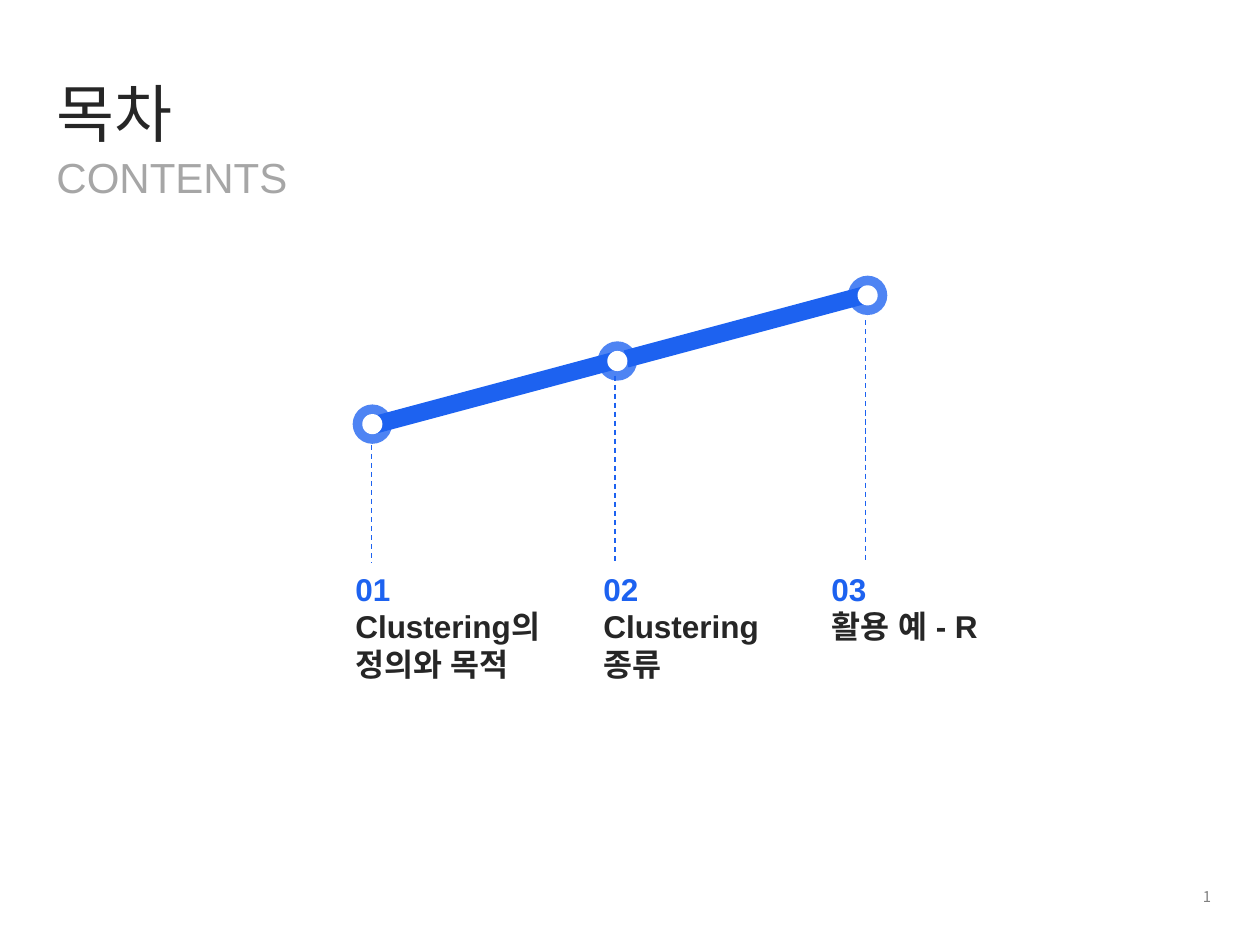
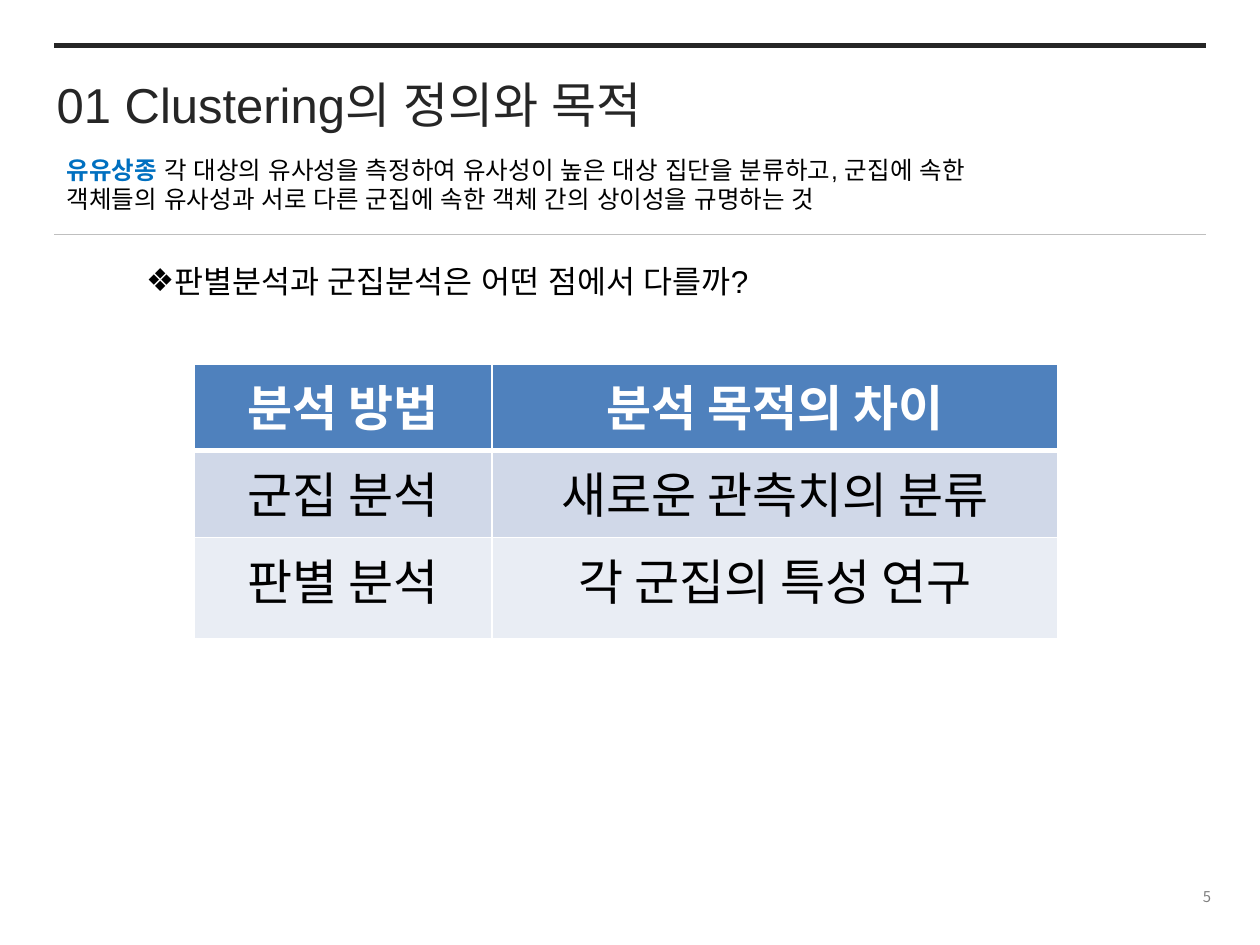
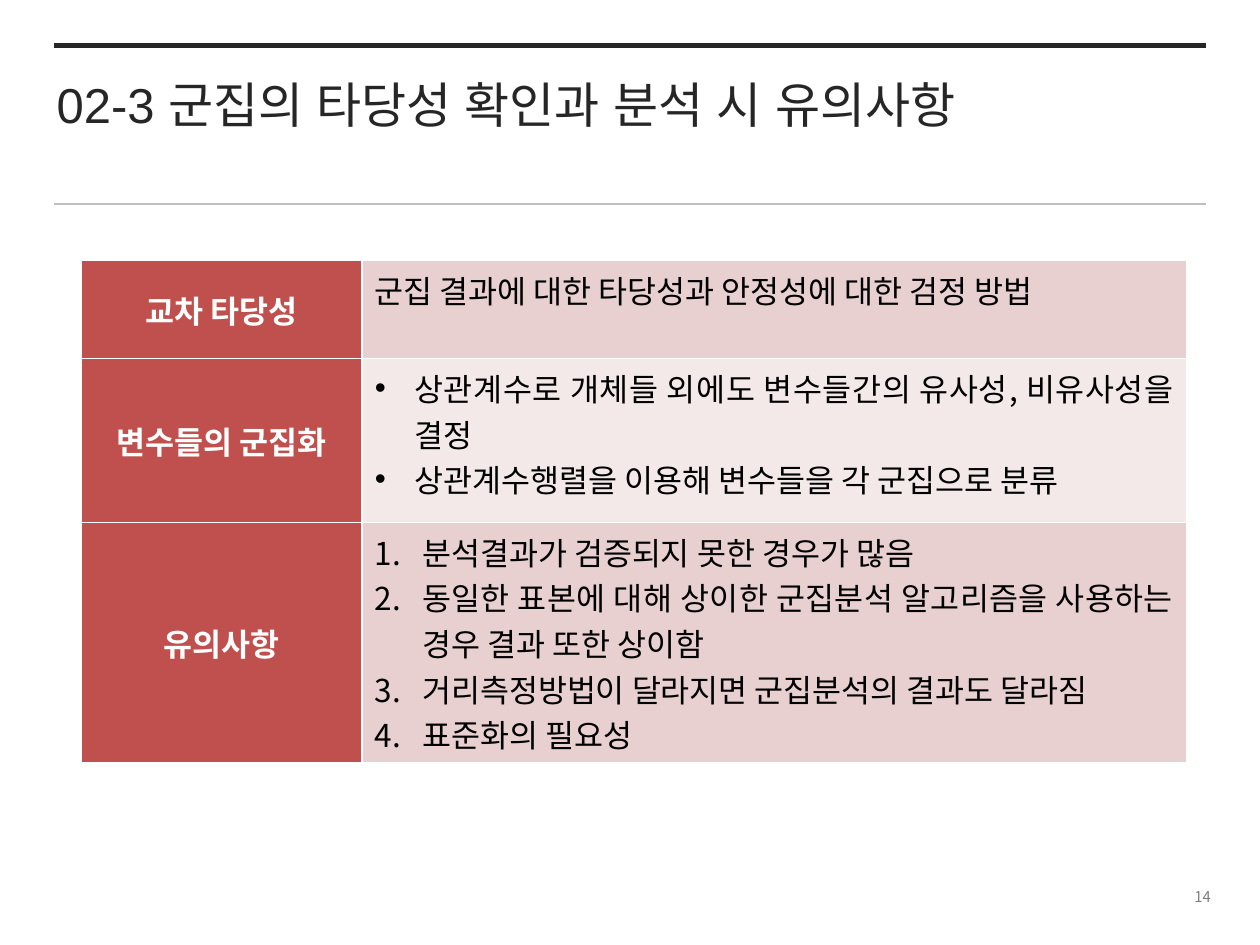
from dataclasses import dataclass

from lxml import etree
from pptx import Presentation
from pptx.dml.color import RGBColor
from pptx.enum.dml import MSO_LINE
from pptx.enum.shapes import MSO_CONNECTOR, MSO_SHAPE
from pptx.enum.text import MSO_ANCHOR, MSO_AUTO_SIZE, PP_ALIGN
from pptx.oxml.ns import qn
from pptx.util import Pt

LEFT, CENTER, RIGHT, JUSTIFY = PP_ALIGN.LEFT, PP_ALIGN.CENTER, PP_ALIGN.RIGHT, PP_ALIGN.JUSTIFY
TOP, MIDDLE = MSO_ANCHOR.TOP, MSO_ANCHOR.MIDDLE
NO_FIT = MSO_AUTO_SIZE.NONE
STRAIGHT = MSO_CONNECTOR.STRAIGHT
DASH = MSO_LINE.DASH
RECT, OVAL = MSO_SHAPE.RECTANGLE, MSO_SHAPE.OVAL
TITLE_AND_BODY, TITLE_ONLY = 1, 5


@dataclass(frozen=True)
class Theme:
    latin: str = "Arial"
    korean: str = "Noto Sans CJK KR"
    ink: str = "262626"
    black: str = "000000"
    white: str = "FFFFFF"
    muted: str = "A6A6A6"
    page: str = "808080"
    rule: str = "BFBFBF"
    accent: str = "1D62F0"
    keyword: str = "0070C0"
    blue_head: str = "4F81BD"
    blue_bands: tuple = ("D0D8E8", "E9EDF4")
    red_head: str = "C0504D"
    red_bands: tuple = ("E8D0D0", "F4E9E9")
    cover_size: float = 36
    title_size: float = 28
    subtitle_size: float = 24
    text_size: float = 18
    note_size: float = 14
    page_size: float = 8.5


T = Theme()
SLIDE_W, SLIDE_H = 720, 540
TITLE_BOX = (25.2, 38.9, 629.3, 41)
PAGE_BOX = (547.2, 502.6, 151.9, 19.4)
RULE_LEFT, RULE_RIGHT, TOP_RULE_Y = 31, 689, 25.9


def pts(*values):
    return [Pt(v) for v in values]


def style(r, size, color, bold=False, font=T.latin):
    r.font.size, r.font.bold, r.font.name = Pt(size), bold, font
    r.font.color.rgb = RGBColor.from_string(color)
    etree.SubElement(r._r.get_or_add_rPr(), qn("a:ea"), typeface=font)


def write(p, runs, align=LEFT):
    """Fill a paragraph with (text, style arguments) pairs."""
    p.alignment = align
    p.space_before = Pt(0)
    for text, look in runs:
        r = p.add_run()
        r.text = text
        style(r, **look)


def bullet(p, tag, indent, **attrs):
    pPr = p._p.get_or_add_pPr()
    pPr.set("marL", str(Pt(indent)))
    pPr.set("indent", str(Pt(-indent)))
    etree.SubElement(pPr, qn("a:buFont"), typeface=T.latin)
    etree.SubElement(pPr, qn(tag), **attrs)


def fit_frame(sp, box, anchor=TOP):
    """Move a text shape into the box and return its wrapped text frame."""
    sp.left, sp.top, sp.width, sp.height = pts(*box)
    tf = sp.text_frame
    tf.auto_size, tf.word_wrap, tf.vertical_anchor = NO_FIT, True, anchor
    return tf


def add_text(s, box, *paragraphs, align=LEFT, anchor=TOP):
    tf = fit_frame(s.shapes.add_textbox(*pts(*box)), box, anchor)
    for i, runs in enumerate(paragraphs):
        write(tf.add_paragraph() if i else tf.paragraphs[0], runs, align)


def add_line(s, x1, y1, x2, y2, color, width=0.75, dash=None):
    c = s.shapes.add_connector(STRAIGHT, *pts(x1, y1, x2, y2))
    c.line.color.rgb = RGBColor.from_string(color)
    c.line.width = Pt(width)
    if dash:
        c.line.dash_style = dash
    etree.SubElement(c._element.spPr, qn("a:effectLst"))


def add_solid(s, kind, cx, cy, w, h, color, opacity=100):
    """Draw a borderless shape centred on a point."""
    sp = s.shapes.add_shape(kind, *pts(cx - w / 2, cy - h / 2, w, h))
    sp.shadow.inherit = False
    sp.fill.solid()
    sp.fill.fore_color.rgb = RGBColor.from_string(color)
    sp.line.fill.background()
    if opacity < 100:
        clr = sp._element.spPr.find(qn("a:solidFill"))[0]
        etree.SubElement(clr, qn("a:alpha"), val=str(opacity * 1000))
    return sp


def new_slide(prs, layout, title, page, size=T.title_size):
    s = prs.slides.add_slide(prs.slide_layouts[layout])
    tf = fit_frame(s.shapes.title, TITLE_BOX)
    write(tf.paragraphs[0], [(title, dict(size=size, color=T.ink))])
    look = dict(size=T.page_size, color=T.page, font=T.korean)
    add_text(s, PAGE_BOX, [(page, look)], align=RIGHT, anchor=MIDDLE)
    return s


def header_rules(s, lower_y):
    add_line(s, RULE_LEFT, lower_y, RULE_RIGHT, lower_y, T.rule)
    add_line(s, RULE_LEFT, TOP_RULE_Y, RULE_RIGHT, TOP_RULE_Y, T.ink, 3)


def add_table(s, box, widths, heights):
    tbl = s.shapes.add_table(len(heights), len(widths), *pts(*box)).table
    tbl.first_row = tbl.horz_banding = False
    for col, w in zip(tbl.columns, widths):
        col.width = Pt(w)
    for row, h in zip(tbl.rows, heights):
        row.height = Pt(h)
    return tbl


def paint_cell(cell, fill, anchor=TOP, top=1, bottom=1):
    cell.fill.solid()
    cell.fill.fore_color.rgb = RGBColor.from_string(fill)
    cell.vertical_anchor = anchor
    tcPr = cell._tc.get_or_add_tcPr()
    for i, (side, w) in enumerate(zip("LRTB", (1, 1, top, bottom))):
        ln = etree.Element(qn(f"a:ln{side}"), w=str(Pt(w)))
        solid = etree.SubElement(ln, qn("a:solidFill"))
        etree.SubElement(solid, qn("a:srgbClr"), val=T.white)
        tcPr.insert(i, ln)


def milestones(s, box, stages):
    """Draw a rising path of nodes, each with a stem down to its label."""
    left, top, _, height = box
    label_y = top + height
    nodes = [(left + x, top + y) for x, y, *_ in stages]
    for x, y in nodes[1:]:
        add_solid(s, RECT, x - 69.5, y + 18, 141.8, 10.1, T.accent).rotation = 345
    for (x, y), (_, _, stem_x, stem_y, label_x, number, label) in zip(nodes, stages):
        add_solid(s, OVAL, x, y, 22.5, 22.5, T.accent, 78)
        add_solid(s, OVAL, x, y, 11.5, 11.5, T.white)
        add_line(s, left + stem_x, top + stem_y, left + stem_x, label_y, T.accent, dash=DASH)
        look = dict(size=T.text_size, bold=True)
        add_text(s, (left + label_x, label_y, 124.6, 72.7),
                 [(number, dict(look, color=T.accent))],
                 [(label, dict(look, color=T.ink))])


def contents_slide(prs):
    s = new_slide(prs, TITLE_ONLY, "목차", "1", T.cover_size)
    add_text(s, (25.2, 82.8, 544.3, 36),
             [("CONTENTS", dict(size=T.subtitle_size, color=T.muted))])
    # node x, y; stem x, top; label x; number; label
    milestones(s, (196, 157, 396, 165), [
        (16.8, 85.4, 16.4, 97.2, 0, "01", "Clustering의 정의와 목적"),
        (156.8, 49.3, 155.4, 57.6, 141.7, "02", "Clustering 종류"),
        (299.8, 11.8, 298.6, 25.9, 272, "03", "활용 예 - R"),
    ])


def comparison_table(s, box, rows):
    tbl = add_table(s, box, (170.4, 323.2), (49.7, 49.7, 58))
    fills = (T.blue_head, *T.blue_bands)
    for i, (row, fill) in enumerate(zip(rows, fills)):
        head = i == 0
        look = dict(size=T.title_size, color=T.white if head else T.black,
                    bold=head, font=T.korean)
        for j, text in enumerate(row):
            cell = tbl.cell(i, j)
            paint_cell(cell, fill, top=3 if i == 1 else 1, bottom=3 if head else 1)
            write(cell.text_frame.paragraphs[0], [(text, look)], CENTER)


def definition_slide(prs):
    s = new_slide(prs, TITLE_AND_BODY, "01 Clustering의 정의와 목적", "5")
    header_rules(s, 133.9)
    add_text(s, (31, 85, 544.3, 41), [
        ("유유상종", dict(size=T.note_size, color=T.keyword, bold=True)),
        (" 각 대상의 유사성을 측정하여 유사성이 높은 대상 집단을 분류하고, 군집에 속한 "
         "객체들의 유사성과 서로 다른 군집에 속한 객체 간의 상이성을 규명하는 것",
         dict(size=T.note_size, color=T.black)),
    ])
    p = fit_frame(s.placeholders[1], (76.3, 146.2, 493.2, 28.8)).paragraphs[0]
    write(p, [("판별분석과 군집분석은 어떤 점에서 다를까?",
               dict(size=T.text_size, color=T.black))])
    bullet(p, "a:buChar", 0, char="❖")
    comparison_table(s, (110.9, 207.9, 493.6, 157.4), [
        ("분석 방법", "분석 목적의 차이"),
        ("군집 분석", "새로운 관측치의 분류"),
        ("판별 분석", "각 군집의 특성 연구"),
    ])


def topic_table(s, box, topics):
    """Build a table of topic names beside plain, bulleted or numbered points."""
    tbl = add_table(s, box, (160.6, 470.9), (56, 93.6, 137.3))
    look = dict(size=T.text_size, font=T.korean)
    for i, (name, marker, points) in enumerate(topics):
        head, body = tbl.cell(i, 0), tbl.cell(i, 1)
        paint_cell(head, T.red_head, MIDDLE)
        write(head.text_frame.paragraphs[0],
              [(name, dict(look, color=T.white, bold=True))], CENTER)
        paint_cell(body, T.red_bands[i % 2])
        tf = body.text_frame
        for j, point in enumerate(points):
            p = tf.add_paragraph() if j else tf.paragraphs[0]
            write(p, [(point, dict(look, color=T.black))], JUSTIFY)
            if marker == "dot":
                bullet(p, "a:buChar", 22.5, char="•")
            elif marker == "number":
                bullet(p, "a:buAutoNum", 27, type="arabicPeriod")


def validity_slide(prs):
    s = new_slide(prs, TITLE_ONLY, "02-3 군집의 타당성 확인과 분석 시 유의사항", "14")
    header_rules(s, 116.6)
    topic_table(s, (46.4, 149, 631.5, 286.9), [
        ("교차 타당성", None, ["군집 결과에 대한 타당성과 안정성에 대한 검정 방법"]),
        ("변수들의 군집화", "dot", [
            "상관계수로 개체들 외에도 변수들간의 유사성, 비유사성을 결정",
            "상관계수행렬을 이용해 변수들을 각 군집으로 분류",
        ]),
        ("유의사항", "number", [
            "분석결과가 검증되지 못한 경우가 많음",
            "동일한 표본에 대해 상이한 군집분석 알고리즘을 사용하는 경우 결과 또한 상이함",
            "거리측정방법이 달라지면 군집분석의 결과도 달라짐",
            "표준화의 필요성",
        ]),
    ])


def main():
    prs = Presentation()
    prs.slide_width, prs.slide_height = pts(SLIDE_W, SLIDE_H)
    contents_slide(prs)
    definition_slide(prs)
    validity_slide(prs)
    prs.save("out.pptx")


if __name__ == "__main__":
    main()
